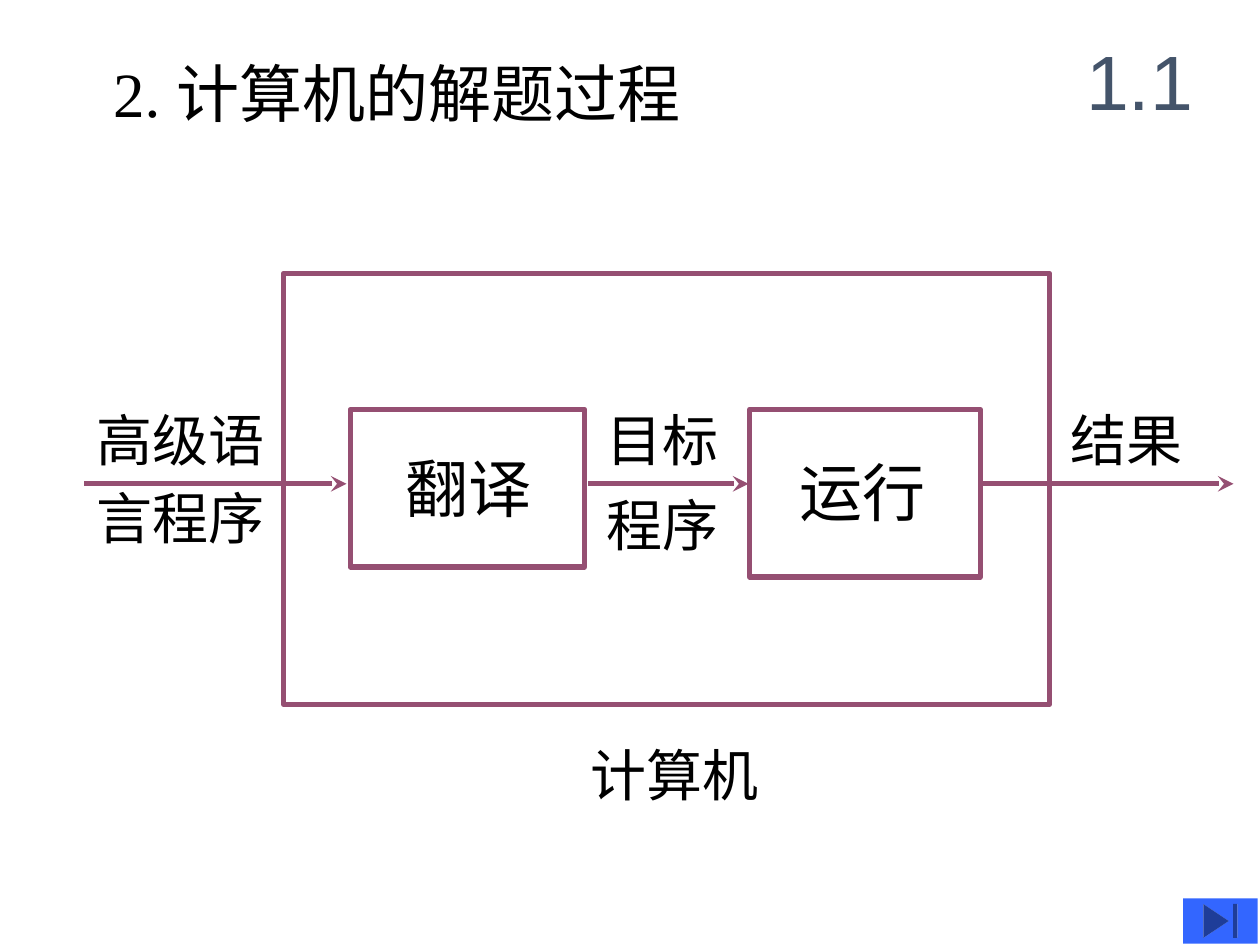
from dataclasses import dataclass

from lxml import etree
from pptx import Presentation
from pptx.dml.color import RGBColor
from pptx.enum.shapes import MSO_CONNECTOR, MSO_SHAPE
from pptx.enum.text import MSO_ANCHOR, MSO_AUTO_SIZE, PP_ALIGN
from pptx.oxml.ns import qn
from pptx.util import Inches, Pt

STRAIGHT = MSO_CONNECTOR.STRAIGHT
RECTANGLE = MSO_SHAPE.RECTANGLE
END_BUTTON = MSO_SHAPE.ACTION_BUTTON_END
TOP, MIDDLE = MSO_ANCHOR.TOP, MSO_ANCHOR.MIDDLE
LEFT, CENTER = PP_ALIGN.LEFT, PP_ALIGN.CENTER
NO_AUTOSIZE = MSO_AUTO_SIZE.NONE

COLORS = {"line": "954F72", "text": "000000", "number": "44546A", "button": "3366FF"}
CHINESE = "Noto Sans CJK SC"
SERIF = "Times New Roman"
FLOW_Y = 3.84
LINE_WIDTH = 3


@dataclass
class Frame:
    left: float
    top: float
    width: float
    height: float


@dataclass
class Label:
    text: str
    left: float
    top: float
    width: float
    height: float
    size: int = 32
    font: str = CHINESE
    color: str = "text"
    padded: bool = False
    wrap: bool = False
    align: PP_ALIGN = LEFT
    anchor: MSO_ANCHOR = TOP


@dataclass
class Arrow:
    start: float
    end: float


FRAMES = [
    Frame(2.25, 2.17, 6.08, 3.42),
    Frame(2.78, 3.25, 1.86, 1.25),
    Frame(5.95, 3.25, 1.83, 1.33),
]

ARROWS = [Arrow(0.67, 2.75), Arrow(4.67, 5.94), Arrow(7.78, 9.79)]

LABELS = [
    Label("2. 计算机的解题过程", 0.8, 0.38, 6.37, 0.7, 36, SERIF, padded=True, wrap=True),
    Label("1.1", 8.42, 0.17, 1.25, 0.92, 44, "Arial", "number", True, True, CENTER, MIDDLE),
    Label("高级语", 0.77, 3.22, 1.34, 0.53),
    Label("言程序", 0.67, 3.79, 1.53, 0.64, font=SERIF, padded=True),
    Label("翻译", 3.12, 3.52, 1.2, 0.7, 36, padded=True),
    Label("目标", 4.81, 3.22, 0.89, 0.53),
    Label("程序", 4.81, 3.89, 0.89, 0.53),
    Label("运行", 6.25, 3.55, 1.2, 0.7, 36, padded=True),
    Label("结果", 8.5, 3.22, 1, 0.53, wrap=True),
    Label("计算机", 4.59, 5.83, 1.53, 0.64, padded=True),
]


def color(name: str) -> RGBColor:
    return RGBColor.from_string(COLORS[name])


def draw_frame(page, frame: Frame) -> None:
    box = page.shapes.add_shape(
        RECTANGLE, Inches(frame.left), Inches(frame.top), Inches(frame.width), Inches(frame.height)
    )
    box.shadow.inherit = False
    box.fill.background()
    box.line.color.rgb = color("line")
    box.line.width = Pt(LINE_WIDTH)


def draw_arrow(page, arrow: Arrow) -> None:
    connector = page.shapes.add_connector(
        STRAIGHT, Inches(arrow.start), Inches(FLOW_Y), Inches(arrow.end), Inches(FLOW_Y)
    )
    connector.line.color.rgb = color("line")
    connector.line.width = Pt(LINE_WIDTH)
    etree.SubElement(connector.line._get_or_add_ln(), qn("a:tailEnd"), type="stealth")
    etree.SubElement(connector._element.spPr, qn("a:effectLst"))


def draw_label(page, label: Label) -> None:
    box = page.shapes.add_textbox(
        Inches(label.left), Inches(label.top), Inches(label.width), Inches(label.height)
    )
    frame = box.text_frame
    frame.auto_size = NO_AUTOSIZE
    frame.word_wrap = label.wrap
    frame.vertical_anchor = label.anchor
    frame.margin_left = frame.margin_right = Inches(0.1 if label.padded else 0)
    frame.margin_top = frame.margin_bottom = Inches(0.05 if label.padded else 0)
    para = frame.paragraphs[0]
    para.text = label.text
    para.alignment = label.align
    para.font.size = Pt(label.size)
    para.font.color.rgb = color(label.color)
    para.font.name = label.font
    etree.SubElement(para.font._element, qn("a:ea"), typeface=CHINESE)


def draw_end_button(page) -> None:
    button = page.shapes.add_shape(
        END_BUTTON, Inches(9.39), Inches(7.13), Inches(0.59), Inches(0.36)
    )
    button.shadow.inherit = False
    button.fill.solid()
    button.fill.fore_color.rgb = color("button")
    button.line.fill.background()


def main() -> None:
    deck = Presentation()
    deck.slide_width = Inches(10)
    deck.slide_height = Inches(7.5)
    page = deck.slides.add_slide(deck.slide_layouts[6])
    for frame in FRAMES:
        draw_frame(page, frame)
    for arrow in ARROWS:
        draw_arrow(page, arrow)
    for label in LABELS:
        draw_label(page, label)
    draw_end_button(page)
    deck.save("out.pptx")


if __name__ == "__main__":
    main()
